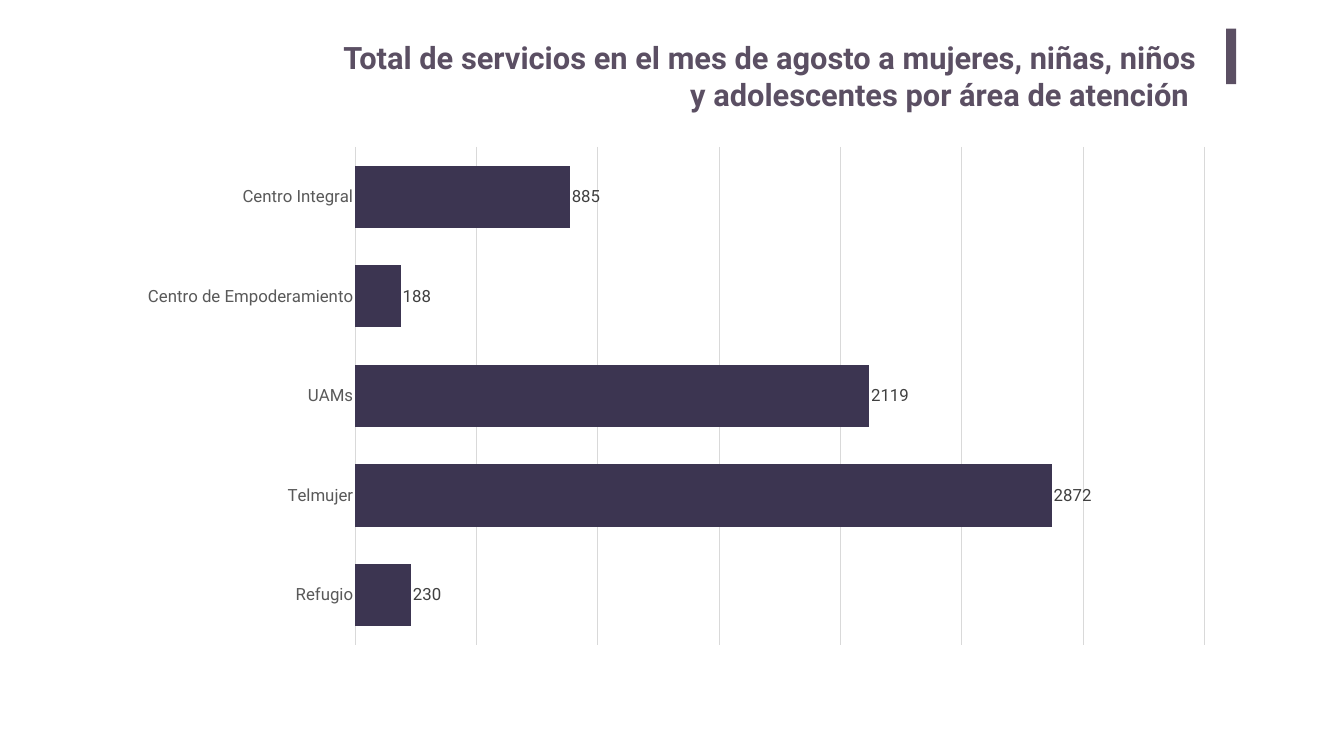
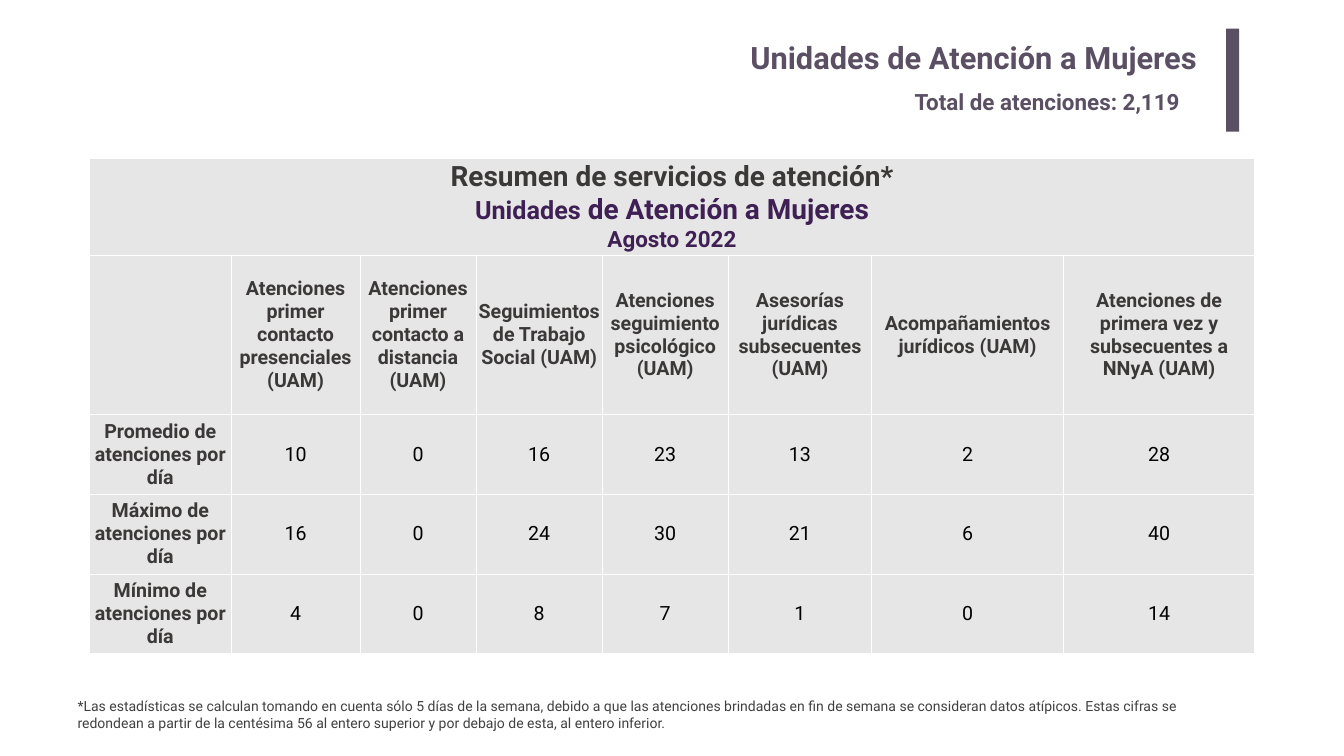
from dataclasses import dataclass

from lxml.etree import SubElement
from pptx import Presentation
from pptx.chart.data import CategoryChartData as ChartData
from pptx.dml.color import RGBColor as Rgb
from pptx.enum.chart import XL_CHART_TYPE as Kind
from pptx.enum.chart import XL_LABEL_POSITION as Spot
from pptx.enum.chart import XL_TICK_MARK as Tick
from pptx.enum.shapes import MSO_SHAPE as Shape
from pptx.enum.text import MSO_ANCHOR as Anchor
from pptx.enum.text import PP_ALIGN as Align
from pptx.oxml.ns import qn
from pptx.util import Inches, Pt


@dataclass(frozen=True)
class Theme:
    font: str = "Roboto"
    # Colours
    main: str = "5B4F63"
    bar: str = "3C3551"
    deep: str = "3E2054"
    head: str = "3B3838"
    note: str = "404040"
    axis: str = "595959"
    grid: str = "D9D9D9"
    cell: str = "E7E6E6"
    white: str = "FFFFFF"
    black: str = "000000"
    # Type sizes
    title: int = 44
    large: int = 40
    mid: int = 36
    sub: int = 32
    body: int = 28
    label: int = 24
    small: int = 20


THEME = Theme()


def style(font, size, color, bold=False):
    font.name = THEME.font
    font.size = Pt(size)
    font.bold = bold
    font.color.rgb = Rgb.from_string(color)


def write(par, text, *, size, color, bold=False, align=Align.LEFT):
    """Add one formatted run to a paragraph."""
    par.alignment = align
    run = par.add_run()
    run.text = text
    style(run.font, size, color, bold)


def edge(cell, color, width):
    """Draw all four borders of a cell."""
    props = cell._tc.get_or_add_tcPr()
    for at, side in enumerate(("lnL", "lnR", "lnT", "lnB")):
        line = SubElement(props, qn(f"a:{side}"), w=str(Pt(width)))
        fill = SubElement(line, qn("a:solidFill"))
        SubElement(fill, qn("a:srgbClr"), val=color)
        props.insert(at, line)


class Deck:
    def __init__(self, theme):
        self.theme = theme
        self.file = Presentation()
        self.file.slide_width = Inches(26.67)
        self.file.slide_height = Inches(15)
        self.slide = None

    def page(self, title, left, high, mark_wide, mark_high):
        """Start a slide with its right-hand title and accent mark."""
        look = self.theme
        self.slide = self.file.slides.add_slide(self.file.slide_layouts[6])
        self.rect(24.33, 0.57, mark_wide, mark_high, look.main)
        self.text(title, left, 0.67, 23.96 - left, high, pad=(0.2, 0.1),
                  size=look.title, color=look.main, bold=True,
                  align=Align.RIGHT)

    def rect(self, left, top, wide, high, color):
        box = self.slide.shapes.add_shape(
            Shape.RECTANGLE, Inches(left), Inches(top),
            Inches(wide), Inches(high))
        box.shadow.inherit = False
        box.fill.solid()
        box.fill.fore_color.rgb = Rgb.from_string(color)
        box.line.fill.background()

    def text(self, text, left, top, wide, high, pad=(0.1, 0.05), **form):
        frame = self.slide.shapes.add_textbox(
            Inches(left), Inches(top), Inches(wide), Inches(high)).text_frame
        frame.word_wrap = True
        frame.margin_left = frame.margin_right = Inches(pad[0])
        frame.margin_top = frame.margin_bottom = Inches(pad[1])
        write(frame.paragraphs[0], text, **form)

    def bars(self, items, left, top, wide, high):
        look = self.theme
        data = ChartData()
        data.categories = list(items)
        data.add_series("Series 1", list(items.values()))
        chart = self.slide.shapes.add_chart(
            Kind.BAR_CLUSTERED, Inches(left), Inches(top),
            Inches(wide), Inches(high), data).chart
        chart.has_legend = chart.has_title = False
        style(chart.font, look.label, look.note)

        # Axes
        cats, vals = chart.category_axis, chart.value_axis
        cats.major_tick_mark = Tick.NONE
        style(cats.tick_labels.font, look.label, look.axis)
        vals.minimum_scale, vals.maximum_scale, vals.major_unit = 0, 3500, 500
        vals.visible = False
        for line in (cats.format.line, vals.major_gridlines.format.line):
            line.width = Pt(0.75)
            line.color.rgb = Rgb.from_string(look.grid)

        # Bars and labels
        plot = chart.plots[0]
        plot.gap_width = 60
        plot.vary_by_categories = False
        fill = plot.series[0].format.fill
        fill.solid()
        fill.fore_color.rgb = Rgb.from_string(look.bar)
        plot.has_data_labels = True
        labels = plot.data_labels
        labels.show_value = True
        labels.position = Spot.OUTSIDE_END
        style(labels.font, look.label, look.note)

    def table(self, banner, rows, left, top, wides, highs):
        """Draw a merged banner above a grid with row and column heads."""
        look = self.theme
        grid = self.slide.shapes.add_table(
            len(highs), len(wides), Inches(left), Inches(top),
            Inches(sum(wides)), Inches(sum(highs))).table
        grid.first_row = grid.horz_banding = False
        for col, wide in zip(grid.columns, wides):
            col.width = Inches(wide)
        for row, high in zip(grid.rows, highs):
            row.height = Inches(high)

        for cell in grid.iter_cells():
            cell.margin_left = cell.margin_right = 0
            cell.margin_top = cell.margin_bottom = 0
            cell.vertical_anchor = Anchor.MIDDLE
            cell.fill.solid()
            cell.fill.fore_color.rgb = Rgb.from_string(look.cell)
            edge(cell, look.white, 1)

        # Banner
        top_cell = grid.cell(0, 0)
        top_cell.merge(grid.cell(0, len(wides) - 1))
        frame = top_cell.text_frame
        for at, runs in enumerate(banner):
            par = frame.add_paragraph() if at else frame.paragraphs[0]
            for text, size, color in runs:
                write(par, text, size=size, color=color, bold=True,
                      align=Align.CENTER)

        # Heads and values
        for r, row in enumerate(rows, 1):
            for c, item in enumerate(row):
                if item == "":
                    continue
                head = r == 1 or c == 0
                write(grid.cell(r, c).text_frame.paragraphs[0], str(item),
                      size=look.body, bold=head, align=Align.CENTER,
                      color=look.head if head else look.black)


def main():
    look = THEME
    deck = Deck(look)

    # Services by area
    deck.page("Total de servicios en el mes de agosto a mujeres, niñas, niños "
              "y adolescentes por área de atención ", 6.56, 2.04, 0.2, 1.1)
    areas = {"Refugio": 230, "Telmujer": 2872, "UAMs": 2119,
             "Centro de Empoderamiento": 188, "Centro Integral": 885}
    deck.bars(areas, 2.5, 2.71, 21.83, 10.29)

    # Care units summary
    deck.page("Unidades de Atención a Mujeres", 3.66, 1.02, 0.26, 2.04)
    deck.text("Total de atenciones: 2,119", 18.05, 1.69, 5.97, 0.64,
              size=look.sub, color=look.main, bold=True)
    banner = [
        [("Resumen de servicios de atención*", look.large, look.head)],
        [("Unidades", look.mid, look.deep),
         (" de Atención a Mujeres", look.large, look.deep)],
        [("Agosto 2022", look.sub, look.deep)],
    ]
    rows = [
        ["",
         "Atenciones primer contacto presenciales (UAM)",
         "Atenciones primer contacto a distancia (UAM)",
         "Seguimientos de Trabajo Social (UAM)",
         "Atenciones seguimiento psicológico (UAM)",
         "Asesorías jurídicas subsecuentes (UAM)",
         "Acompañamientos jurídicos (UAM)",
         "Atenciones de primera vez y subsecuentes a NNyA (UAM)"],
        ["Promedio de atenciones por día", 10, 0, 16, 23, 13, 2, 28],
        ["Máximo de atenciones por día", 16, 0, 24, 30, 21, 6, 40],
        ["Mínimo de atenciones por día", 4, 0, 8, 7, 1, 0, 14],
    ]
    deck.table(banner, rows, 1.77, 3.15,
               wides=[2.82, 2.55, 2.31, 2.5, 2.5, 2.85, 3.8, 3.8],
               highs=[1.91, 3.17] + [1.58] * 3)
    deck.text("*Las estadísticas se calculan tomando en cuenta sólo 5 días de "
              "la semana, debido a que las atenciones brindadas en fin de "
              "semana se consideran datos atípicos. Estas cifras se redondean "
              "a partir de la centésima 56 al entero superior y por debajo de "
              "esta, al entero inferior.", 1.44, 13.79, 22.77, 0.77,
              size=look.small, color=look.note)

    deck.file.save("out.pptx")


if __name__ == "__main__":
    main()
